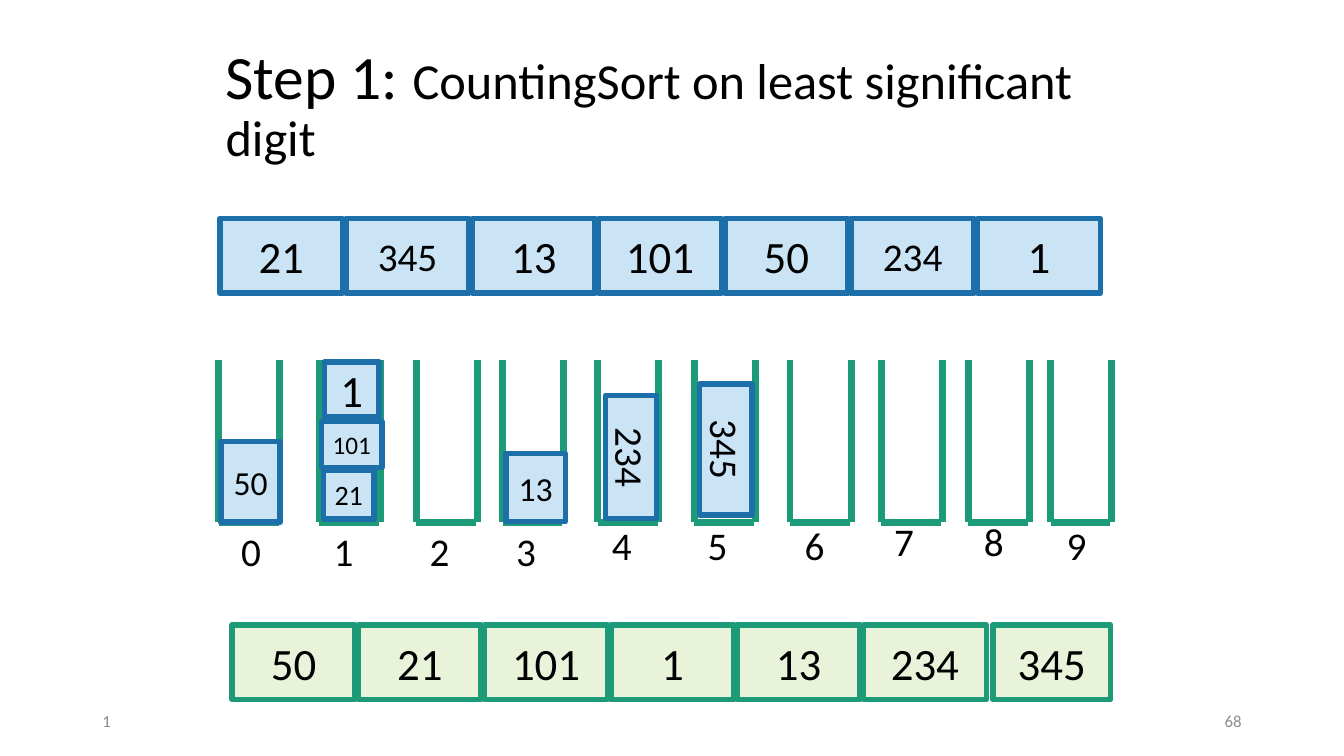
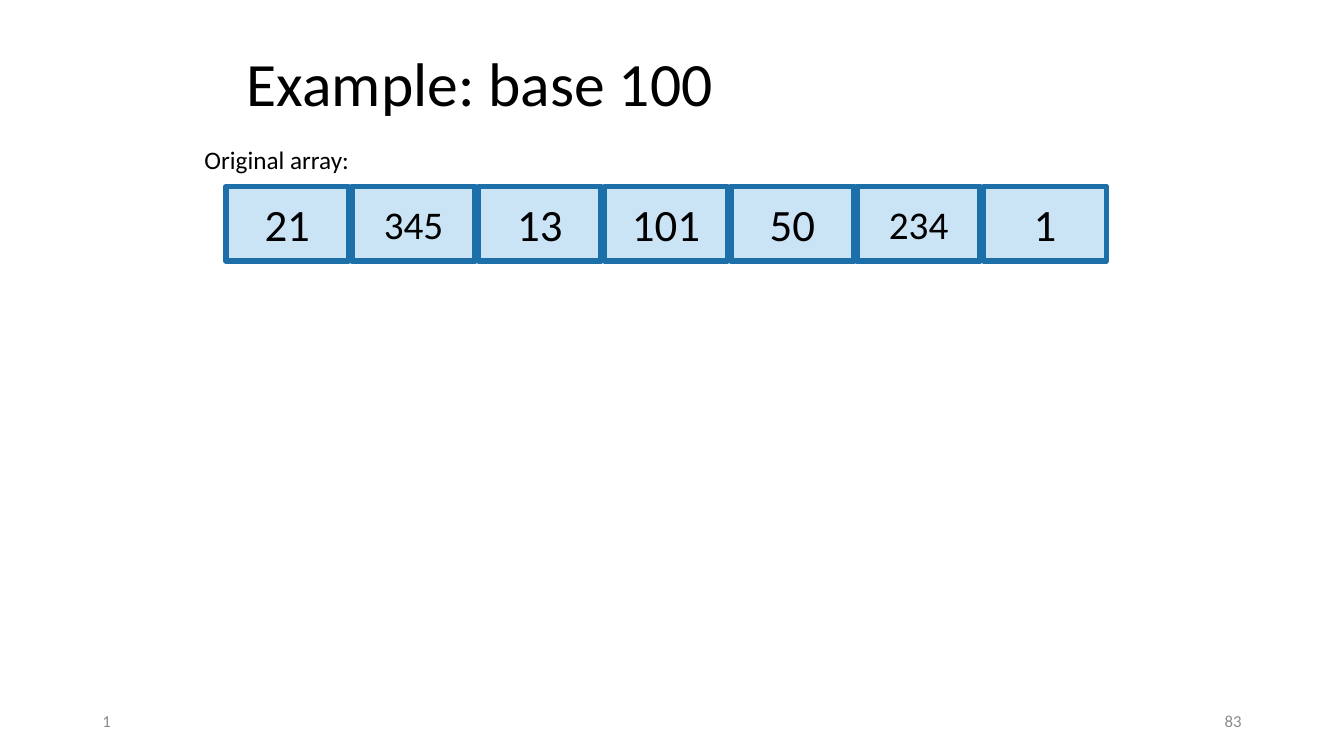
"""Build two radix sort slides: the first bucket pass and a base 100 example."""
from lxml import etree
from pptx import Presentation
from pptx.dml.color import RGBColor
from pptx.enum.shapes import MSO_CONNECTOR, MSO_SHAPE
from pptx.enum.text import MSO_ANCHOR, PP_ALIGN
from pptx.oxml.ns import qn
from pptx.util import Pt

LEFT, CENTER, RIGHT = PP_ALIGN.LEFT, PP_ALIGN.CENTER, PP_ALIGN.RIGHT
TOP, MIDDLE = MSO_ANCHOR.TOP, MSO_ANCHOR.MIDDLE
RECTANGLE, STRAIGHT = MSO_SHAPE.RECTANGLE, MSO_CONNECTOR.STRAIGHT

FONT = "Calibri"
BLACK, GRAY, GREEN = "000000", "8C8C8C", "1D9A78"
INPUT_STYLE = ("CAE4F6", "1D6FA9")
OUTPUT_STYLE = ("E8F3DA", GREEN)

CELL_WIDTH, CELL_HEIGHT, CELL_STEP = 87.8, 53.3, 90.2
INPUT_ARRAY = (("21", 32), ("345", 28), ("13", 32), ("101", 32),
               ("50", 32), ("234", 28), ("1", 32))
OUTPUT_ARRAY = [(text, 32) for text in ("50", "21", "101", "1", "13", "234")]

BUCKET_TOP, BUCKET_BOTTOM, BUCKET_WIDTH = 256.8, 373, 43.6
BUCKETS = (
    (156.4, 165, 373), (228.2, 231.1, 373), (297.2, 299.5, 373),
    (359.2, 361.4, 373), (427.1, 429.8, 368.6), (496, 498.2, 368.6),
    (564.3, 567.4, 368.6), (629.4, 631.4, 365.8), (691.7, 695.5, 365.8),
    (750.4, 754.6, 368.6),
)
BUCKET_ITEMS = (
    ("345", 28, (471.6, 302.4, 93.6, 37.4), 90),
    ("50", 24, (157.7, 315.4, 42.5, 57.6), 0),
    ("13", 24, (361.4, 324, 42.5, 48.5), 0),
    ("21", 20, (231.1, 335.5, 36, 35.3), 0),
    ("101", 18, (229.7, 301, 43.2, 33.1), 0),
    ("1", 32, (231.8, 258.5, 38.9, 39.6), 0),
    ("234", 28, (406.8, 308.2, 87.8, 36.7), 90),
)


def rgb(value):
    """Turn a hex string into a colour."""
    return RGBColor.from_string(value)


def add_runs(para, runs, color):
    """Add (text, size) runs to a paragraph."""
    for text, size in runs:
        span = para.add_run()
        span.text = text
        span.font.name = FONT
        span.font.size = Pt(size)
        span.font.color.rgb = rgb(color)


def add_text(page, frame, runs, color=BLACK, align=LEFT, anchor=TOP, wrap=True):
    """Add a text box and return its paragraph."""
    box = page.shapes.add_textbox(*map(Pt, frame))
    box.text_frame.word_wrap = wrap
    box.text_frame.vertical_anchor = anchor
    para = box.text_frame.paragraphs[0]
    para.alignment = align
    add_runs(para, runs, color)
    return para


def add_cell(page, text, size, frame, style, rotation=0):
    """Add one bordered array element."""
    fill, border = style
    cell = page.shapes.add_shape(RECTANGLE, *map(Pt, frame))
    cell.shadow.inherit = False
    cell.rotation = rotation
    cell.fill.solid()
    cell.fill.fore_color.rgb = rgb(fill)
    cell.line.color.rgb = rgb(border)
    cell.line.width = Pt(4)
    cell.text_frame.vertical_anchor = MIDDLE
    para = cell.text_frame.paragraphs[0]
    para.alignment = CENTER
    add_runs(para, [(text, size)], BLACK)


def add_array(page, left, top, items, style):
    """Add a row of evenly spaced array elements."""
    for index, (text, size) in enumerate(items):
        frame = (left + index * CELL_STEP, top, CELL_WIDTH, CELL_HEIGHT)
        add_cell(page, text, size, frame, style)


def add_line(page, *ends):
    """Add a thick green line without a shadow."""
    line = page.shapes.add_connector(STRAIGHT, *map(Pt, ends))
    line.line.color.rgb = rgb(GREEN)
    line.line.width = Pt(5)
    etree.SubElement(line._element.spPr, qn("a:effectLst"))


def add_bucket(page, digit, left, label_left, label_top):
    """Add an open bucket with its digit below."""
    right = left + BUCKET_WIDTH
    add_line(page, left, BUCKET_TOP, left, BUCKET_BOTTOM)
    add_line(page, right, BUCKET_TOP, right, BUCKET_BOTTOM)
    add_line(page, right - 1, BUCKET_BOTTOM, left, BUCKET_BOTTOM)
    add_text(page, (label_left, label_top, 28.8, 41), [(str(digit), 28)],
             align=CENTER, wrap=False)


def add_page(deck, title_frame, title_runs, number):
    """Add a page with its title and footer."""
    page = deck.slides.add_slide(deck.slide_layouts[6])
    title = add_text(page, title_frame, title_runs, anchor=MIDDLE)
    title.line_spacing = 0.9
    for left, text, align in ((66, "1", LEFT), (678, number, RIGHT)):
        add_text(page, (left, 500.5, 216, 28.8), [(text, 12)], GRAY, align, MIDDLE)
    return page


def add_bucket_page(deck):
    """Add the pass over the least significant digit."""
    runs = [("Step 1: ", 44), ("CountingSort on least significant digit", 36)]
    page = add_page(deck, (154, 23.8, 685.4, 104.4), runs, "68")
    add_array(page, 157, 156.2, INPUT_ARRAY, INPUT_STYLE)
    for digit, bucket in enumerate(BUCKETS):
        add_bucket(page, digit, *bucket)
    for text, size, frame, rotation in BUCKET_ITEMS:
        add_cell(page, text, size, frame, INPUT_STYLE, rotation)
    add_array(page, 165.8, 446.4, OUTPUT_ARRAY, OUTPUT_STYLE)
    add_cell(page, "345", 32, (709.2, 446.4, 84.2, CELL_HEIGHT), OUTPUT_STYLE)


def add_example_page(deck):
    """Add the base 100 example."""
    page = add_page(deck, (169.2, 28.8, 620.6, 65.5), [("Example: base 100", 44)], "83")
    add_array(page, 161.3, 133.2, INPUT_ARRAY, INPUT_STYLE)
    add_text(page, (139, 99.4, 233.3, 28.8), [("Original array:", 18)])


def main():
    """Build and save the deck."""
    deck = Presentation()
    deck.slide_width, deck.slide_height = Pt(960), Pt(540)
    add_bucket_page(deck)
    add_example_page(deck)
    deck.save("out.pptx")


if __name__ == "__main__":
    main()
